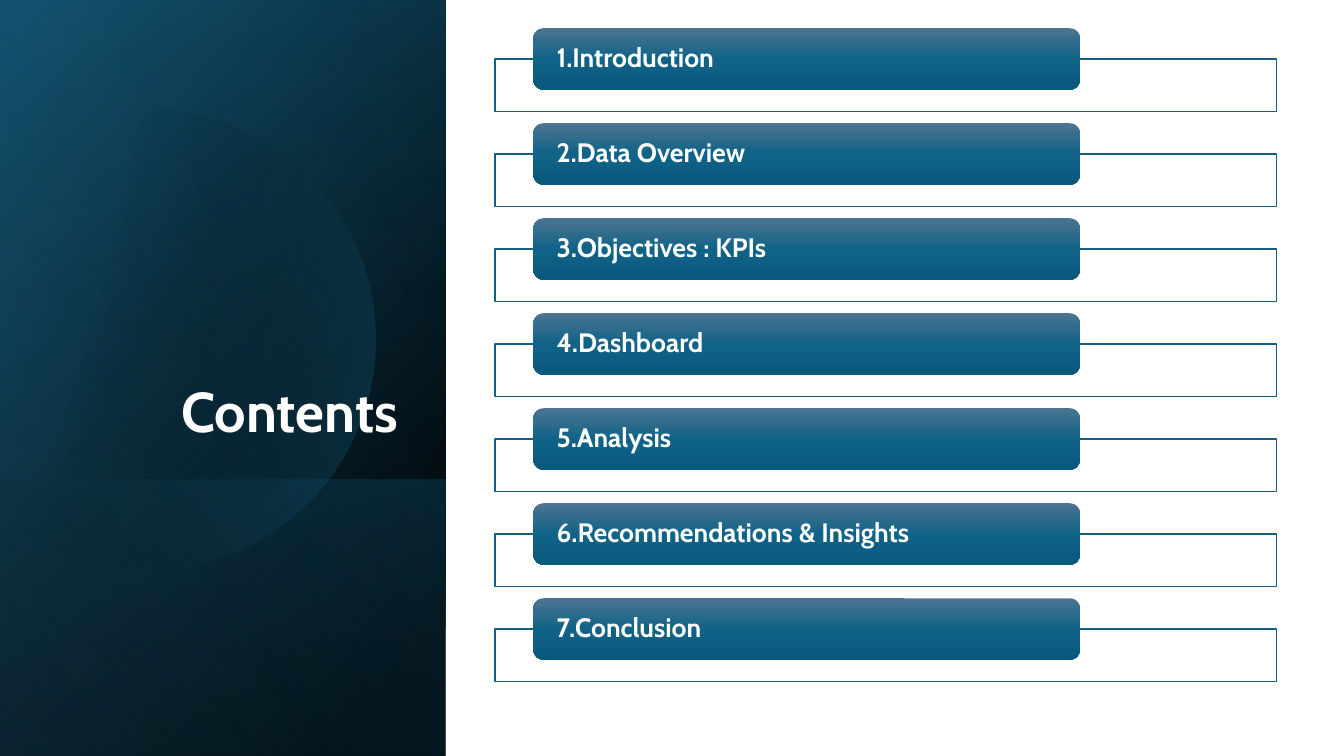
from math import acos, cos, sin

from lxml import etree
from pptx import Presentation
from pptx.dml.color import RGBColor
from pptx.enum.shapes import MSO_SHAPE
from pptx.enum.text import MSO_ANCHOR, MSO_AUTO_SIZE, PP_ALIGN
from pptx.oxml.ns import qn
from pptx.util import Inches, Pt

RECTANGLE, ROUNDED = MSO_SHAPE.RECTANGLE, MSO_SHAPE.ROUNDED_RECTANGLE
COLORS = {"black": "000000", "navy": "104862", "teal": "156082", "sky": "46B1E1",
          "white": "FFFFFF", "bar_top": "4C7591", "bar_middle": "106287", "bar_bottom": "09597D"}


def set_gradient(shape, stops, angle):
    """Give a borderless shape a linear gradient of (position, color, opacity) stops."""
    shape.shadow.inherit = False
    shape.line.fill.background()
    shape.fill.gradient()
    gradient = shape._element.spPr.find(qn("a:gradFill"))
    stop_list = gradient.find(qn("a:gsLst"))
    for old_stop in list(stop_list):
        stop_list.remove(old_stop)
    for position, color, opacity in stops:
        stop = etree.SubElement(stop_list, qn("a:gs"), pos=str(position * 1000))
        tint = etree.SubElement(stop, qn("a:srgbClr"), val=COLORS[color])
        if opacity < 100:
            etree.SubElement(tint, qn("a:alpha"), val=str(opacity * 1000))
    gradient.find(qn("a:lin")).set("ang", str(angle * 60000))


def set_text(shape, text, size, anchor, alignment, insets):
    """Write one bold white line with the given placement."""
    frame = shape.text_frame
    frame.text = text
    paragraph = frame.paragraphs[0]
    left, top, right, bottom = (Inches(inset) for inset in insets)
    formats = (
        (frame, {"word_wrap": True, "auto_size": MSO_AUTO_SIZE.NONE, "vertical_anchor": anchor,
                 "margin_left": left, "margin_top": top,
                 "margin_right": right, "margin_bottom": bottom}),
        (paragraph, {"alignment": alignment, "line_spacing": 0.9,
                     "space_before": Pt(0), "space_after": Pt(6)}),
        (paragraph.runs[0].font, {"name": "Cabin", "size": Pt(size), "bold": True}),
    )
    for target, values in formats:
        for name, value in values.items():
            setattr(target, name, value)
    paragraph.runs[0].font.color.rgb = RGBColor.from_string(COLORS["white"])


presentation = Presentation()
presentation.slide_width, presentation.slide_height = Inches(13.33), Inches(7.5)
slide = presentation.slides.add_slide(presentation.slide_layouts[5])
shapes = slide.shapes

# Left panel: layered gradients, with the disc below the last layer
full_panel = (-1.54, 1.54, 7.5, 4.42)
panels = [
    (full_panel, [(8, "black", 100), (100, "navy", 100)], 50),
    (full_panel, [(0, "black", 0), (99, "teal", 46)], 30),
    ((0.84, 3.92, 2.74, 4.42), [(2, "teal", 29), (100, "black", 30)], 130),
    (full_panel, [(0, "black", 0), (99, "sky", 11)], 120),
]
for index, (box, stops, angle) in enumerate(panels):
    if index == len(panels) - 1:
        # Disc cut off by the slide's left edge
        center_x, center_y, radius, steps = 1.43, 3.37, 2.29, 120
        limit = acos(-center_x / radius)
        angles = [limit * (2 * step / steps - 1) for step in range(steps + 1)]
        points = [(Inches(center_x + radius * cos(turn)), Inches(center_y + radius * sin(turn)))
                  for turn in angles]
        builder = shapes.build_freeform(*points[0], scale=1.0)
        builder.add_line_segments(points[1:], close=True)
        disc = builder.convert_to_shape()
        set_gradient(disc, [(29, "black", 0), (100, "teal", 43)], 14)
    panel = shapes.add_shape(RECTANGLE, *(Inches(value) for value in box))
    panel.rotation = 90
    panel._element.spPr.get_or_add_xfrm().set("flipH", "1")
    set_gradient(panel, stops, angle)

# Title, raised above the panel
title = shapes.title
title.left, title.top, title.width, title.height = (
    Inches(value) for value in (0.64, 1.84, 3.41, 2.62))
set_text(title, "Contents", 40, MSO_ANCHOR.BOTTOM, PP_ALIGN.RIGHT, (0.1, 0.05, 0.1, 0.05))
shapes._spTree.append(title._element)

# Contents list: an outlined frame behind a gradient bar
sections = ["Introduction", "Data Overview", "Objectives : KPIs", "Dashboard",
            "Analysis", "Recommendations & Insights", "Conclusion"]
row_top, row_pitch = 0.28, 0.9425
for index, section in enumerate(sections):
    top = row_top + index * row_pitch
    frame_box = shapes.add_shape(RECTANGLE, Inches(4.91), Inches(top + 0.305),
                                 Inches(7.75), Inches(0.52))
    frame_box.shadow.inherit = False
    frame_box.fill.solid()
    frame_box.fill.fore_color.rgb = RGBColor.from_string(COLORS["white"])
    white = frame_box._element.spPr.find(qn("a:solidFill"))[0]
    etree.SubElement(white, qn("a:alpha"), val="90000")
    frame_box.line.color.rgb = RGBColor.from_string(COLORS["teal"])
    frame_box.line.width = Pt(1)

    bar = shapes.add_shape(ROUNDED, Inches(5.29), Inches(top), Inches(5.42), Inches(0.61))
    set_gradient(bar, [(0, "bar_top", 100), (50, "bar_middle", 100), (100, "bar_bottom", 100)], 90)
    set_text(bar, f"{index + 1}.{section}", 19, MSO_ANCHOR.MIDDLE, PP_ALIGN.LEFT,
             (0.2, 0, 0.2, 0))

presentation.save("out.pptx")
